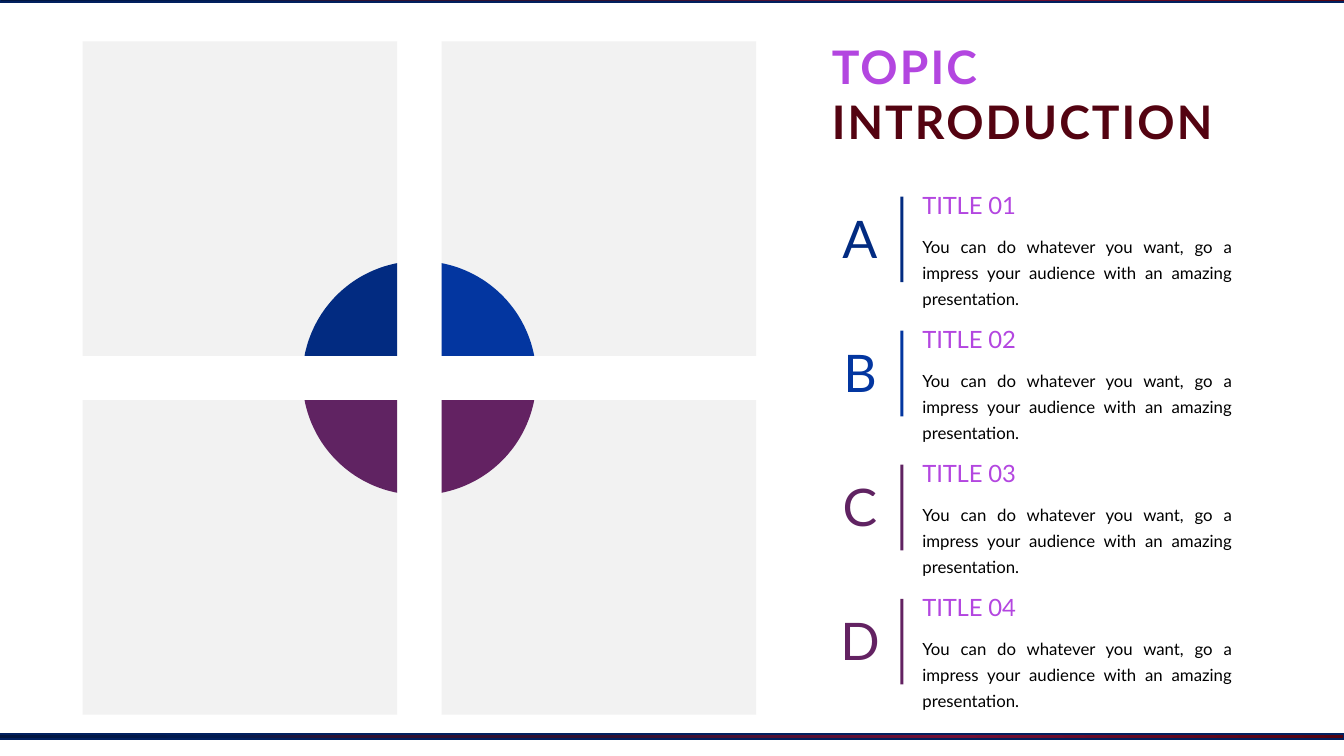
from dataclasses import dataclass
from math import asin, cos, pi, sin

from lxml.etree import SubElement
from pptx import Presentation
from pptx.dml.color import RGBColor
from pptx.enum.shapes import MSO_SHAPE
from pptx.enum.text import MSO_ANCHOR, MSO_AUTO_SIZE, PP_ALIGN
from pptx.oxml.ns import qn
from pptx.util import Inches, Pt


@dataclass(frozen=True)
class Theme:
    """Font, colours and type sizes of the slide."""
    font: str = "Lato"
    accent: str = "B346E0"
    dark: str = "540311"
    text: str = "000000"
    panel: str = "F2F2F2"
    edge: str = "01205F"
    quarters: tuple = ("022B81", "0336A0", "602362", "632262")
    gradient: tuple = ((0, "540311"), (29, "751035"), (55, "311131"),
                       (74, "301231"), (83, "011B50"), (100, "011540"))
    title_size: int = 33
    letter_size: int = 37
    heading_size: int = 17
    body_size: int = 12


THEME = Theme()
BODY = ("You can do whatever you want, go a impress your audience "
        "with an amazing presentation.")
CENTER_X, CENTER_Y = 4.16, 3.75
HALF_GAP, PANEL, RADIUS = 0.22, 3.12, 1.16
ROW_PITCH = 1.33


def box(*lengths):
    """Turn inch values into lengths."""
    return [Inches(n) for n in lengths]


def paint(sp, color):
    """Give a shape a plain fill without line or shadow."""
    sp.shadow.inherit = False
    sp.fill.solid()
    sp.fill.fore_color.rgb = RGBColor.from_string(color)
    sp.line.fill.background()


def add_rect(s, place, color):
    """Add a plain rectangle."""
    sp = s.shapes.add_shape(MSO_SHAPE.RECTANGLE, *box(*place))
    paint(sp, color)
    return sp


def add_gradient_bar(s, place):
    """Add an outlined bar with the theme gradient."""
    sp = add_rect(s, place, THEME.edge)
    sp.fill.gradient()
    sp.fill.gradient_angle = 230
    stops = sp._element.spPr.find(".//" + qn("a:gsLst"))
    for stop in list(stops):
        stops.remove(stop)
    for percent, color in THEME.gradient:
        stop = SubElement(stops, qn("a:gs"), pos=str(percent * 1000))
        SubElement(stop, qn("a:srgbClr"), val=color)
    sp.line.color.rgb = RGBColor.from_string(THEME.edge)
    sp.line.width = Pt(1)


def add_panel(s, dx, dy):
    """Add the grey square on one side of the centre."""
    left = CENTER_X + (HALF_GAP if dx > 0 else -HALF_GAP - PANEL)
    top = CENTER_Y + (HALF_GAP if dy > 0 else -HALF_GAP - PANEL)
    add_rect(s, (left, top, PANEL, PANEL), THEME.panel)


def add_quarter(s, dx, dy, color, steps=40):
    """Add the part of the central disc lying on one panel."""
    start = asin(HALF_GAP / RADIUS)
    angles = [start + (pi / 2 - 2 * start) * i / steps for i in range(steps + 1)]
    arc = [(Inches(CENTER_X + dx * RADIUS * cos(a)),
            Inches(CENTER_Y + dy * RADIUS * sin(a))) for a in angles]
    fb = s.shapes.build_freeform(Inches(CENTER_X + dx * HALF_GAP),
                                 Inches(CENTER_Y + dy * HALF_GAP))
    fb.add_line_segments(arc, close=True)
    paint(fb.convert_to_shape(), color)


def add_run(p, text, size, color, bold=False, spacing=0):
    """Add a formatted run to a paragraph."""
    r = p.add_run()
    r.text = text
    r.font.name = THEME.font
    r.font.size = Pt(size)
    r.font.bold = bold
    r.font.color.rgb = RGBColor.from_string(color)
    if spacing:
        r._r.get_or_add_rPr().set("spc", str(round(spacing * 100)))


def add_text(s, text, place, anchor=MSO_ANCHOR.TOP, align=PP_ALIGN.LEFT,
             line_spacing=None, **style):
    """Add a wrapped text box with one formatted paragraph."""
    tf = s.shapes.add_textbox(*box(*place)).text_frame
    tf.word_wrap = True
    tf.auto_size = MSO_AUTO_SIZE.SHAPE_TO_FIT_TEXT
    tf.vertical_anchor = anchor
    p = tf.paragraphs[0]
    p.alignment = align
    p.line_spacing = line_spacing
    add_run(p, text, **style)


def set_title(s):
    """Place and fill the two-coloured title."""
    title = s.shapes.title
    title.left, title.top, title.width, title.height = box(8.15, 0.32, 4.36, 1.21)
    tf = title.text_frame
    tf.word_wrap = True
    tf.auto_size = MSO_AUTO_SIZE.SHAPE_TO_FIT_TEXT
    tf.vertical_anchor = MSO_ANCHOR.BOTTOM
    p = tf.paragraphs[0]
    p.alignment = PP_ALIGN.LEFT
    for text, color in (("TOPIC ", THEME.accent), ("INTRODUCTION", THEME.dark)):
        add_run(p, text, THEME.title_size, color, bold=True, spacing=1.5)


def add_item(s, index, letter, color):
    """Add one lettered row with its rule, heading and text."""
    y = index * ROW_PITCH
    add_rect(s, (8.93, 1.95 + y, 0.03, 0.85), color)
    add_text(s, f"TITLE {index + 1:02}", (9.05, 1.83 + y, 3.27, 0.39),
             anchor=MSO_ANCHOR.BOTTOM, size=THEME.heading_size,
             color=THEME.accent, spacing=-0.1)
    add_text(s, BODY, (9.05, 2.24 + y, 3.27, 0.87), align=PP_ALIGN.JUSTIFY,
             line_spacing=Pt(18.5), size=THEME.body_size, color=THEME.text)
    add_text(s, letter, (8.16, 2 + y, 0.74, 0.72), anchor=MSO_ANCHOR.MIDDLE,
             align=PP_ALIGN.CENTER, size=THEME.letter_size, color=color,
             spacing=-2.9)


def main():
    """Build and save the slide."""
    prs = Presentation()
    prs.slide_width, prs.slide_height = box(13.33, 7.5)
    s = prs.slides.add_slide(prs.slide_layouts[5])
    add_gradient_bar(s, (-0.04, 7.28, 13.37, 0.05))
    add_gradient_bar(s, (0, -0.03, 13.37, 0.05))
    sides = ((-1, -1), (1, -1), (-1, 1), (1, 1))
    for (dx, dy), color in zip(sides, THEME.quarters):
        add_panel(s, dx, dy)
        add_quarter(s, dx, dy, color)
    set_title(s)
    for index, (letter, color) in enumerate(zip("ABCD", THEME.quarters)):
        add_item(s, index, letter, color)
    prs.save("out.pptx")


if __name__ == "__main__":
    main()
